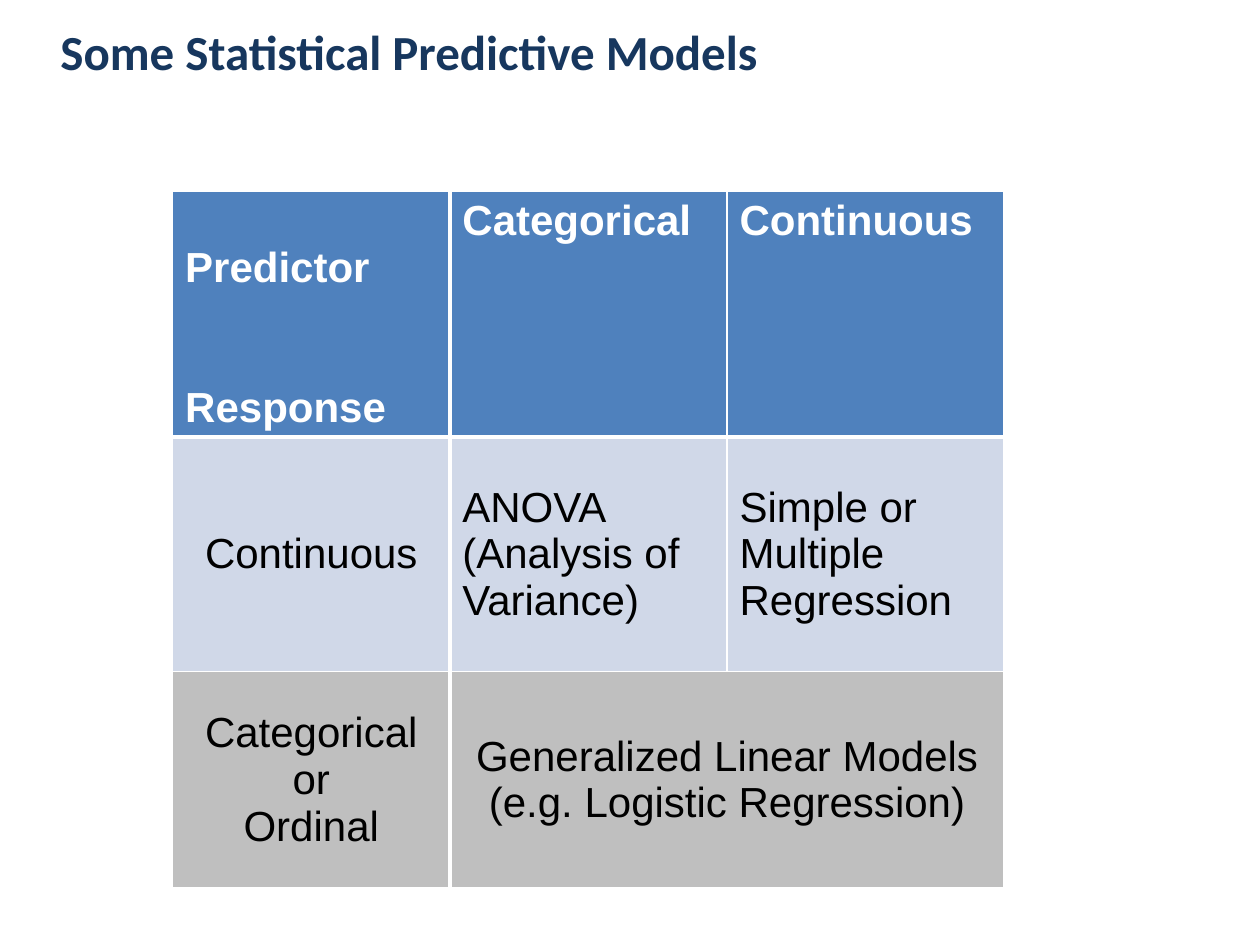
from dataclasses import dataclass

from lxml.etree import SubElement
from pptx import Presentation
from pptx.dml.color import RGBColor
from pptx.enum.text import MSO_ANCHOR as Anchor, PP_ALIGN as Align
from pptx.oxml.ns import qn
from pptx.util import Inches, Pt

COLORS = {
    "title": "17375E",
    "header": "4F81BD",
    "band": "D0D8E8",
    "gray": "BFBFBF",
    "white": "FFFFFF",
    "black": "000000",
}
COL_WIDTH = 2.2
ROW_HEIGHTS = (1.64, 1.86, 1.72)
THIN, THICK = 1, 3


@dataclass
class CellSpec:
    row: int
    col: int
    lines: tuple[str, ...]
    fill: str
    centered: bool = False
    margin_top: float = 0.05
    gap: float = 0

    @property
    def is_header(self) -> bool:
        return self.row == 0


CELLS = (
    CellSpec(0, 0, ("Predictor", "Response"), "header", margin_top=0.42, gap=53),
    CellSpec(0, 1, ("Categorical",), "header"),
    CellSpec(0, 2, ("Continuous",), "header"),
    CellSpec(1, 0, ("Continuous",), "band", centered=True),
    CellSpec(1, 1, ("ANOVA (Analysis of Variance)",), "band"),
    CellSpec(1, 2, ("Simple or Multiple Regression",), "band"),
    CellSpec(2, 0, ("Categorical\vor\vOrdinal",), "gray", centered=True),
    CellSpec(2, 1, ("Generalized Linear Models\v(e.g. Logistic Regression)",),
             "gray", centered=True),
    CellSpec(2, 2, (), "gray"),
)


def rgb(name: str) -> RGBColor:
    return RGBColor.from_string(COLORS[name])


def style_font(font, name: str, size: float, color: str, bold: bool) -> None:
    font.name, font.size, font.bold = name, Pt(size), bold
    font.color.rgb = rgb(color)


def add_borders(cell, row: int, col: int) -> None:
    widths = {
        "L": THICK if col == 1 else THIN,
        "R": THICK if col == 0 else THIN,
        "T": THICK if row == 1 else THIN,
        "B": THICK if row == 0 else THIN,
    }
    tc_pr = cell._tc.get_or_add_tcPr()
    for side, width in widths.items():
        ln = SubElement(tc_pr, qn(f"a:ln{side}"), w=str(Pt(width)))
        fill = SubElement(ln, qn("a:solidFill"))
        SubElement(fill, qn("a:srgbClr"), val=COLORS["white"])


def draw_cell(table, spec: CellSpec) -> None:
    cell = table.cell(spec.row, spec.col)
    add_borders(cell, spec.row, spec.col)
    cell.fill.solid()
    cell.fill.fore_color.rgb = rgb(spec.fill)
    cell.margin_top = Inches(spec.margin_top)
    cell.vertical_anchor = Anchor.TOP if spec.is_header else Anchor.MIDDLE
    tf = cell.text_frame
    for i, line in enumerate(spec.lines):
        p = tf.add_paragraph() if i else tf.paragraphs[0]
        p.text = line
        p.alignment = Align.CENTER if spec.centered else Align.LEFT
        if i:
            p.space_before = Pt(spec.gap)
        style_font(p.font, "Arial", 24,
                   "white" if spec.is_header else "black", spec.is_header)


def add_title(slide, text: str) -> None:
    title = slide.shapes.title
    title.left, title.top = Inches(0.38), Inches(0.05)
    title.width, title.height = Inches(8.2), Inches(0.71)
    tf = title.text_frame
    tf.vertical_anchor = Anchor.MIDDLE
    p = tf.paragraphs[0]
    p.text = text
    p.alignment = Align.LEFT
    style_font(p.font, "Calibri", 28, "title", True)


def add_model_table(slide) -> None:
    table = slide.shapes.add_table(
        3, 3, Inches(1.37), Inches(1.52),
        Inches(3 * COL_WIDTH), Inches(sum(ROW_HEIGHTS))).table
    for column in table.columns:
        column.width = Inches(COL_WIDTH)
    for row, height in zip(table.rows, ROW_HEIGHTS):
        row.height = Inches(height)
    for spec in CELLS:
        draw_cell(table, spec)
    table.cell(2, 1).merge(table.cell(2, 2))


def main() -> None:
    prs = Presentation()
    prs.slide_width, prs.slide_height = Inches(10), Inches(7.5)
    slide = prs.slides.add_slide(prs.slide_layouts[5])
    add_title(slide, "Some Statistical Predictive Models")
    add_model_table(slide)
    prs.save("out.pptx")


if __name__ == "__main__":
    main()
